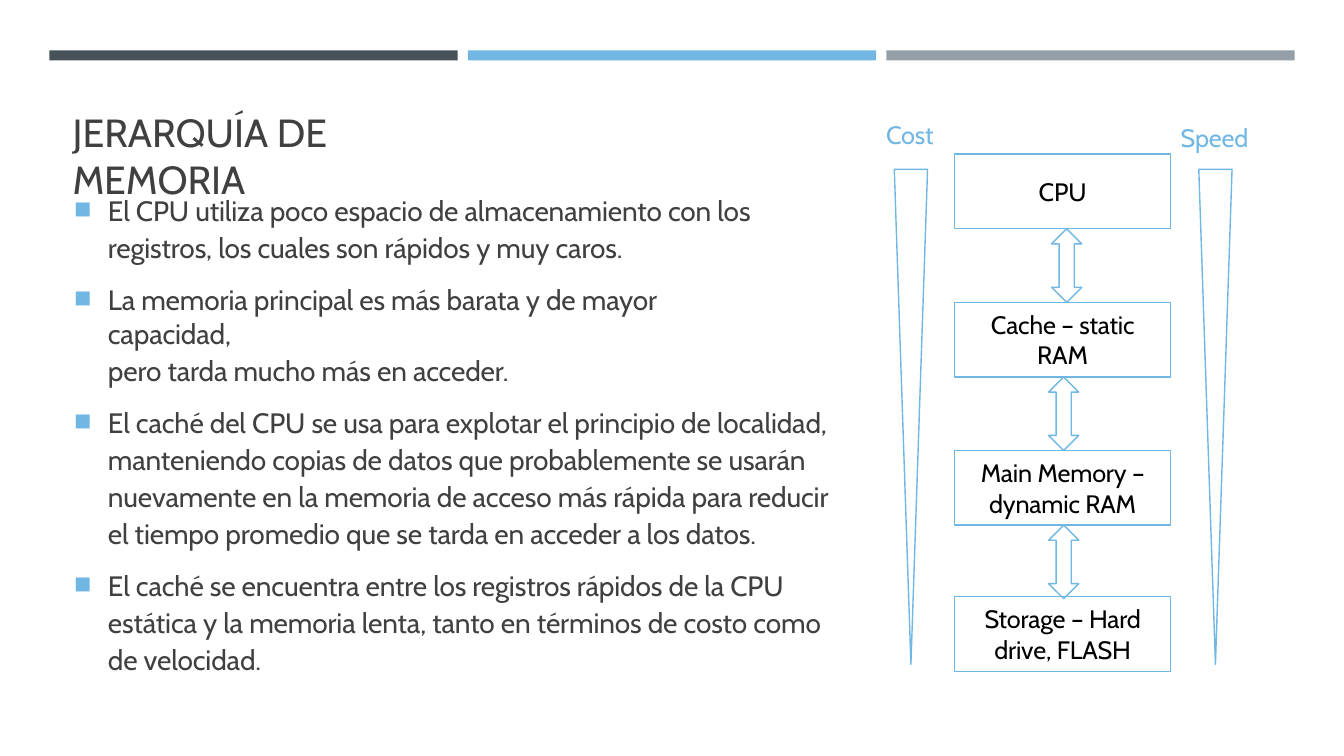
import dataclasses

import pptx
import pptx.dml.color
import pptx.enum.shapes
import pptx.enum.text
import pptx.oxml
import pptx.oxml.ns
import pptx.util

Inches = pptx.util.Inches
Pt = pptx.util.Pt
SHAPE = pptx.enum.shapes.MSO_SHAPE
ALIGN = pptx.enum.text.PP_ALIGN
ANCHOR = pptx.enum.text.MSO_ANCHOR

FONT = "Cabin"
COLORS = {
    "slate": "465258",
    "blue": "70B8E3",
    "grey": "959FA7",
    "text": "404040",
    "black": "000000",
}


@dataclasses.dataclass
class Bar:
    left: float
    color: str


@dataclasses.dataclass
class Level:
    label: str
    top: float


@dataclasses.dataclass
class Scale:
    label: str
    label_left: float
    label_top: float
    label_width: float
    wedge_left: float


@dataclasses.dataclass
class Point:
    text: str
    right_indent: float
    space_before: float = 0
    line_spacing: float = 1.1
    bullet: bool = True


BARS = [Bar(0.49, "slate"), Bar(4.64, "blue"), Bar(8.79, "grey")]
LEVELS = [
    Level("CPU", 1.53),
    Level("Cache – static RAM", 3),
    Level("Main Memory – dynamic RAM", 4.47),
    Level("Storage – Hard drive, FLASH", 5.92),
]
LEVEL_HEIGHT = 0.74
LEVEL_STEP = 1.47
ARROW_LEFTS = [10.43, 10.4, 10.4]
SCALES = [
    Scale("Cost", 8.79, 1.17, 0.5, 8.87),
    Scale("Speed", 11.71, 1.2, 0.7, 11.89),
]
POINTS = [
    Point("El CPU utiliza poco espacio de almacenamiento con los registros, "
          "los cuales son rápidos y muy caros.", 0.5),
    Point("La memoria principal es más barata y de mayor capacidad,", 1,
          space_before=13.2, line_spacing=1),
    Point("pero tarda mucho más en acceder.", 1,
          space_before=2.4, line_spacing=1, bullet=False),
    Point("El caché del CPU se usa para explotar el principio de localidad, "
          "manteniendo copias de datos que probablemente se usarán nuevamente "
          "en la memoria de acceso más rápida para reducir el tiempo promedio "
          "que se tarda en acceder a los datos.", 0.1, space_before=10.8),
    Point("El caché se encuentra entre los registros rápidos de la CPU "
          "estática y la memoria lenta, tanto en términos de costo como de "
          "velocidad.", 0.15, space_before=10.8),
]


def rgb(name: str) -> pptx.dml.color.RGBColor:
    return pptx.dml.color.RGBColor.from_string(COLORS[name])


def write(paragraph, text: str, *, size: float, color: str,
          align=ALIGN.LEFT, spacing: float = 0) -> None:
    """Put formatted text in a paragraph; spacing is in points."""
    paragraph.alignment = align
    run = paragraph.add_run()
    run.text = text
    run.font.name = FONT
    run.font.size = Pt(size)
    run.font.color.rgb = rgb(color)
    if spacing:
        run.font._element.set("spc", str(round(spacing * 100)))


def set_frame(frame, *, side: float = 0, right: float = 0, top: float = 0.01,
              anchor=ANCHOR.TOP) -> None:
    frame.word_wrap = True
    frame.auto_size = pptx.enum.text.MSO_AUTO_SIZE.NONE
    frame.vertical_anchor = anchor
    frame.margin_left = Inches(side)
    frame.margin_right = Inches(side + right)
    frame.margin_top = Inches(top)
    frame.margin_bottom = Inches(0)


def add_figure(slide, kind, left: float, top: float, width: float,
               height: float, *, fill: str = "", line: str = ""):
    figure = slide.shapes.add_shape(
        kind, Inches(left), Inches(top), Inches(width), Inches(height))
    figure.shadow.inherit = False
    if fill:
        figure.fill.solid()
        figure.fill.fore_color.rgb = rgb(fill)
    else:
        figure.fill.background()
    if line:
        figure.line.color.rgb = rgb(line)
        figure.line.width = Pt(1)
    else:
        figure.line.fill.background()
    return figure


def add_frame(slide, left: float, top: float, width: float, height: float):
    box = slide.shapes.add_textbox(
        Inches(left), Inches(top), Inches(width), Inches(height))
    set_frame(box.text_frame)
    return box.text_frame


def format_point(paragraph, point: Point) -> None:
    """Set the indents and the square bullet of a body paragraph."""
    properties = paragraph._p.get_or_add_pPr()
    properties.set("marL", str(Inches(0.35)))
    properties.set("marR", str(Inches(point.right_indent)))
    properties.set("indent", str(Inches(-0.34 if point.bullet else 0)))
    namespace = pptx.oxml.ns.nsdecls("a")
    if point.bullet:
        marks = [
            f'<a:buClr {namespace}><a:srgbClr val="{COLORS["blue"]}"/></a:buClr>',
            f'<a:buSzPct {namespace} val="90000"/>',
            f'<a:buChar {namespace} char="◾"/>',
        ]
    else:
        marks = [f"<a:buNone {namespace}/>"]
    for mark in marks:
        properties.append(pptx.oxml.parse_xml(mark))
    paragraph.line_spacing = point.line_spacing
    if point.space_before:
        paragraph.space_before = Pt(point.space_before)


def main() -> None:
    deck = pptx.Presentation()
    deck.slide_width = Inches(13.33)
    deck.slide_height = Inches(7.5)
    slide = deck.slides.add_slide(deck.slide_layouts[5])

    # Top bars
    for bar in BARS:
        add_figure(slide, SHAPE.RECTANGLE, bar.left, 0.5, 4.05, 0.1,
                   fill=bar.color)

    # Title
    title = slide.shapes.title
    title.left, title.top = Inches(0.72), Inches(1.06)
    title.width, title.height = Inches(4.4), Inches(0.49)
    set_frame(title.text_frame, right=0.2)
    write(title.text_frame.paragraphs[0], "JERARQUÍA DE MEMORIA",
          size=28, color="text")

    # Body points
    body = add_frame(slide, 0.72, 1.88, 7.72, 4.51)
    for index, point in enumerate(POINTS):
        paragraph = body.add_paragraph() if index else body.paragraphs[0]
        format_point(paragraph, point)
        write(paragraph, point.text, size=20, color="text", spacing=-0.1)

    # Memory levels
    for level in LEVELS:
        box = add_figure(slide, SHAPE.RECTANGLE, 9.47, level.top, 2.14,
                         LEVEL_HEIGHT, line="blue")
        set_frame(box.text_frame, side=0.2, top=0, anchor=ANCHOR.MIDDLE)
        write(box.text_frame.paragraphs[0], level.label, size=18,
              color="black", align=ALIGN.CENTER, spacing=-0.1)

    # Arrows between levels
    for index, left in enumerate(ARROW_LEFTS):
        top = LEVELS[0].top + LEVEL_HEIGHT + index * LEVEL_STEP
        add_figure(slide, SHAPE.UP_DOWN_ARROW, left, top, 0.3,
                   LEVEL_STEP - LEVEL_HEIGHT, line="blue")

    # Cost and speed scales
    for scale in SCALES:
        label = add_frame(slide, scale.label_left, scale.label_top,
                          scale.label_width, 0.33)
        write(label.paragraphs[0], scale.label, size=18, color="blue",
              spacing=-0.1)
        add_figure(slide, SHAPE.FLOWCHART_MERGE, scale.wedge_left, 1.68,
                   0.33, 4.91, line="blue")

    deck.save("out.pptx")


if __name__ == "__main__":
    main()
